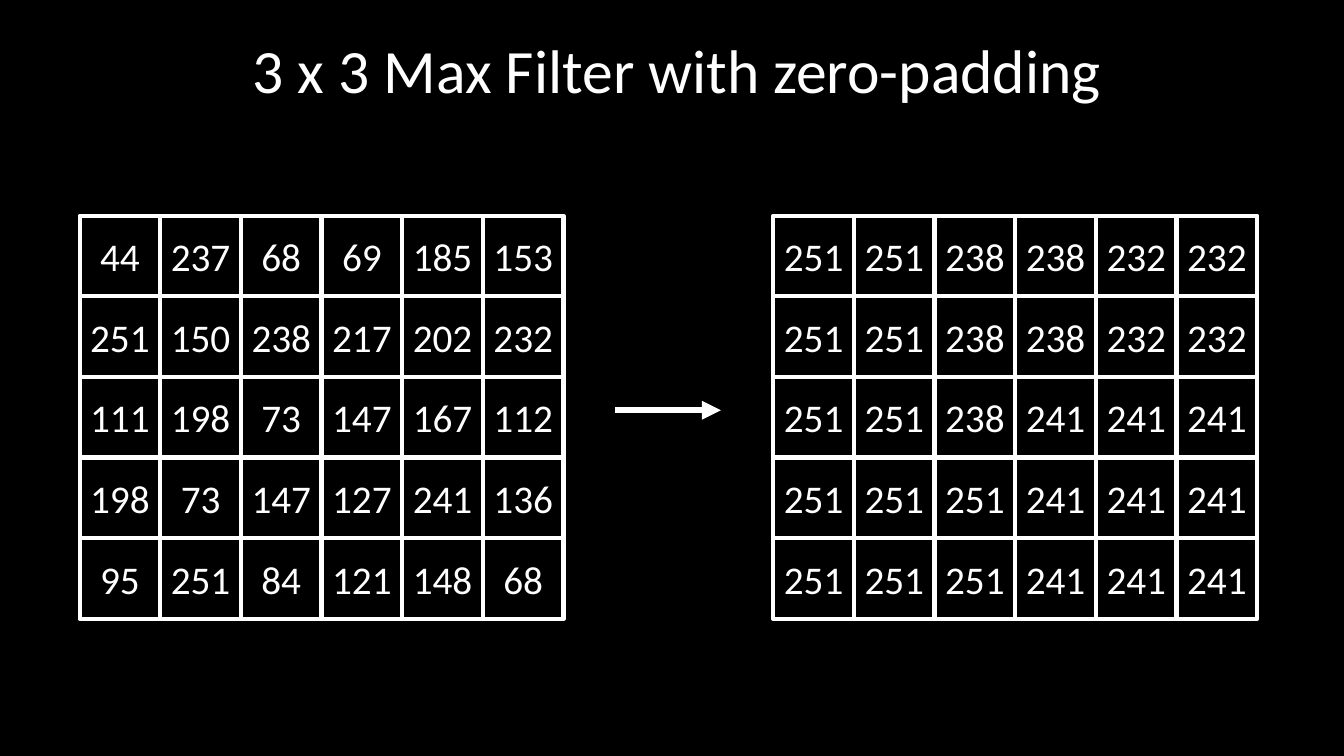
import pptx
import pptx.util
import pptx.dml.color
import pptx.enum.shapes
import pptx.enum.text
import pptx.oxml.ns
import lxml.etree

Inches = pptx.util.Inches

# Content
TITLE = "3 x 3 Max Filter with zero-padding"
INPUT = [
    (44, 237, 68, 69, 185, 153),
    (251, 150, 238, 217, 202, 232),
    (111, 198, 73, 147, 167, 112),
    (198, 73, 147, 127, 241, 136),
    (95, 251, 84, 121, 148, 68),
]
OUTPUT = [
    (251, 251, 238, 238, 232, 232),
    (251, 251, 238, 238, 232, 232),
    (251, 251, 238, 241, 241, 241),
    (251, 251, 251, 241, 241, 241),
    (251, 251, 251, 241, 241, 241),
]
COLORS = {"back": "000000", "ink": "FFFFFF"}
FONT = "Calibri"
CELL = 0.8
TOP = 2.14
GRIDS = [(0.79, INPUT), (7.67, OUTPUT)]


def color(name):
    return pptx.dml.color.RGBColor.from_string(COLORS[name])


def write(shape, text, size, space=1.0, wrap=True, inset=0.1):
    frame = shape.text_frame
    frame.word_wrap = wrap
    frame.margin_left = frame.margin_right = Inches(inset)
    frame.vertical_anchor = pptx.enum.text.MSO_ANCHOR.MIDDLE
    line = frame.paragraphs[0]
    line.alignment = pptx.enum.text.PP_ALIGN.CENTER
    line.line_spacing = space
    run = line.add_run()
    run.text = text
    run.font.name = FONT
    run.font.size = pptx.util.Pt(size)
    run.font.color.rgb = color("ink")


def draw_grid(slide, left, rows):
    group = slide.shapes.add_group_shape()
    for r, row in enumerate(rows):
        for c, value in enumerate(row):
            cell = group.shapes.add_shape(
                pptx.enum.shapes.MSO_SHAPE.RECTANGLE,
                Inches(left + c * CELL), Inches(TOP + r * CELL),
                Inches(CELL), Inches(CELL))
            cell.shadow.inherit = False
            cell.fill.background()
            cell.line.color.rgb = color("ink")
            cell.line.width = pptx.util.Pt(3)
            write(cell, str(value), 28, wrap=False, inset=0)


def draw_arrow(slide, start, end, y):
    arrow = slide.shapes.add_connector(
        pptx.enum.shapes.MSO_CONNECTOR.STRAIGHT,
        Inches(start), Inches(y), Inches(end), Inches(y))
    arrow.line.color.rgb = color("ink")
    arrow.line.width = pptx.util.Pt(4.5)
    qn = pptx.oxml.ns.qn
    line = arrow.line._get_or_add_ln()
    lxml.etree.SubElement(line, qn("a:tailEnd"), type="triangle")
    lxml.etree.SubElement(arrow._element.spPr, qn("a:effectLst"))


def main():
    deck = pptx.Presentation()
    deck.slide_width, deck.slide_height = Inches(13.33), Inches(7.5)
    slide = deck.slides.add_slide(deck.slide_layouts[6])
    slide.background.fill.solid()
    slide.background.fill.fore_color.rgb = color("back")

    # Title
    title = slide.shapes.add_textbox(
        Inches(0.97), Inches(0), Inches(11.5), Inches(1.45))
    write(title, TITLE, 44, space=0.9)

    # Pixel grids
    for left, rows in GRIDS:
        draw_grid(slide, left, rows)

    # Arrow from input to output
    draw_arrow(slide, 6.1, 7.15, 4.07)

    deck.save("out.pptx")


if __name__ == "__main__":
    main()
